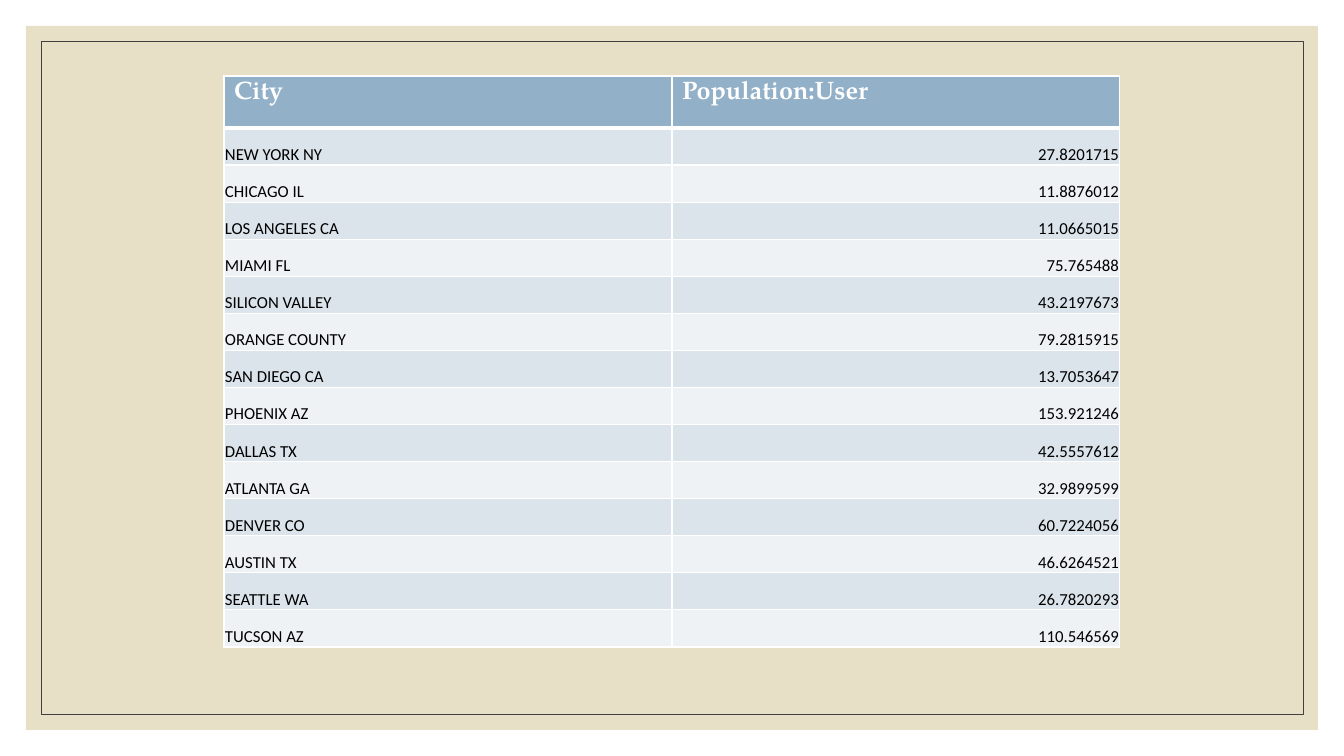
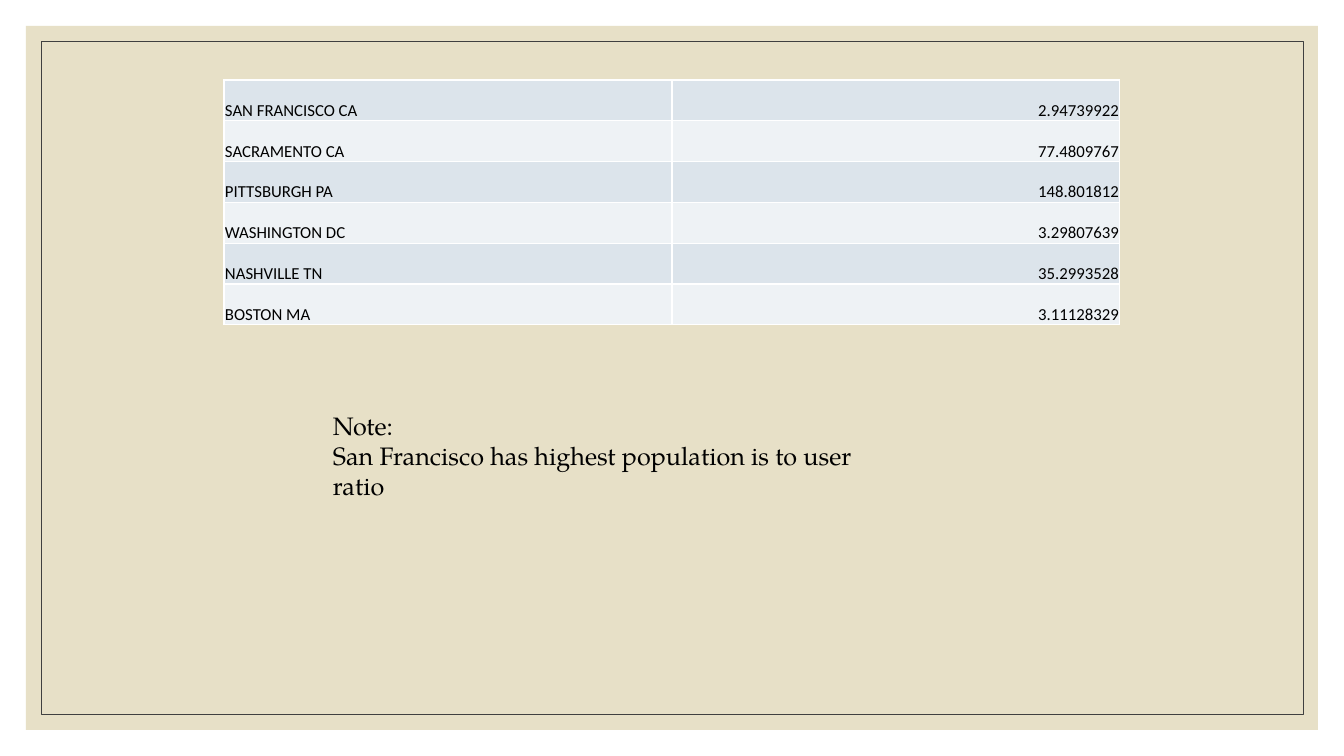
"""Build two slides of population per user by city."""
from lxml.etree import SubElement
from pptx import Presentation
from pptx.dml.color import RGBColor
from pptx.enum.shapes import MSO_SHAPE
from pptx.enum.text import MSO_ANCHOR, PP_ALIGN
from pptx.oxml.ns import qn
from pptx.util import Pt

HEADER = ("City", "Population:User")
FIRST_CITIES = [
    ("NEW YORK NY", "27.8201715"),
    ("CHICAGO IL", "11.8876012"),
    ("LOS ANGELES CA", "11.0665015"),
    ("MIAMI FL", "75.765488"),
    ("SILICON VALLEY", "43.2197673"),
    ("ORANGE COUNTY", "79.2815915"),
    ("SAN DIEGO CA", "13.7053647"),
    ("PHOENIX AZ", "153.921246"),
    ("DALLAS TX", "42.5557612"),
    ("ATLANTA GA", "32.9899599"),
    ("DENVER CO", "60.7224056"),
    ("AUSTIN TX", "46.6264521"),
    ("SEATTLE WA", "26.7820293"),
    ("TUCSON AZ", "110.546569"),
]
MORE_CITIES = [
    ("SAN FRANCISCO CA", "2.94739922"),
    ("SACRAMENTO CA", "77.4809767"),
    ("PITTSBURGH PA", "148.801812"),
    ("WASHINGTON DC", "3.29807639"),
    ("NASHVILLE TN", "35.2993528"),
    ("BOSTON MA", "3.11128329"),
]
NOTE = ["Note:", "San Francisco has highest population is to user ratio"]

SLIDE_SIZE = (1344, 756)
PANEL = (26, 26, 1292, 704)
FRAME = (41, 41, 1262, 673)
NOTE_BOX = (323, 405, 560, 72)
TABLE_LEFT, TABLE_WIDTH, HEADER_HEIGHT = 224, 896, 52

SAND, CHARCOAL, WHITE, BLACK = "E7E0C7", "404040", "FFFFFF", "000000"
HEADER_FILL, BANDS = "92B0C8", ("DCE4EB", "EEF2F5")
THIN, THICK = 1, 3

HEADER_FONT = {"name": "TeX Gyre Pagella", "size": Pt(18), "bold": True}
BODY_FONT = {"name": "Calibri", "size": Pt(12), "bold": False}
NOTE_FONT = {"name": "TeX Gyre Pagella", "size": Pt(18)}


def px(length):
    return round(length * 914400 / 100.8)


def color(value):
    return RGBColor.from_string(value)


def set_all(target, values):
    for name, value in values.items():
        setattr(target, name, value)


def write(para, text, font, ink):
    span = para.add_run()
    span.text = text
    set_all(span.font, font)
    span.font.color.rgb = color(ink)


def add_rectangle(page, place, fill=None, line=None):
    box = page.shapes.add_shape(MSO_SHAPE.RECTANGLE, *map(px, place))
    box.shadow.inherit = False
    if fill:
        box.fill.solid()
        box.fill.fore_color.rgb = color(fill)
    else:
        box.fill.background()
    if line:
        box.line.color.rgb = color(line)
        box.line.width = Pt(0.5)
    else:
        box.line.fill.background()


def add_page(deck):
    page = deck.slides.add_slide(deck.slide_layouts[6])
    add_rectangle(page, PANEL, fill=SAND)
    add_rectangle(page, FRAME, line=CHARCOAL)
    return page


def style_cell(cell, fill, top, bottom):
    properties = cell._tc.get_or_add_tcPr()
    for side, width in {"L": THIN, "R": THIN, "T": top, "B": bottom}.items():
        border = SubElement(properties, qn(f"a:ln{side}"), w=str(Pt(width)))
        paint = SubElement(border, qn("a:solidFill"))
        SubElement(paint, qn("a:srgbClr"), val=WHITE)
    cell.fill.solid()
    cell.fill.fore_color.rgb = color(fill)


def add_city_table(page, cities, top, height, header=None):
    rows = ([header] if header else []) + cities
    header_height = HEADER_HEIGHT if header else 0
    row_height = (height - header_height) / len(cities)
    place = (TABLE_LEFT, top, TABLE_WIDTH, height)
    table = page.shapes.add_table(len(rows), 2, *map(px, place)).table
    set_all(table, {"first_row": False, "horz_banding": False})
    for column in table.columns:
        column.width = px(TABLE_WIDTH / 2)
    for index, row in enumerate(rows):
        is_header = bool(header) and index == 0
        below_header = bool(header) and index == 1
        band = BANDS[(index - bool(header)) % 2]
        table.rows[index].height = px(header_height if is_header else row_height)
        for column, text in enumerate(row):
            cell = table.cell(index, column)
            para = cell.text_frame.paragraphs[0]
            if is_header:
                style_cell(cell, HEADER_FILL, THIN, THICK)
                write(para, text, HEADER_FONT, WHITE)
                continue
            style_cell(cell, band, THICK if below_header else THIN, THIN)
            set_all(cell, {"vertical_anchor": MSO_ANCHOR.BOTTOM,
                           "margin_left": px(1), "margin_right": px(1),
                           "margin_top": px(1), "margin_bottom": 0})
            para.alignment = (PP_ALIGN.LEFT, PP_ALIGN.RIGHT)[column]
            write(para, text, BODY_FONT, BLACK)


def add_note(page, lines):
    frame = page.shapes.add_textbox(*map(px, NOTE_BOX)).text_frame
    frame.word_wrap = True
    for index, line in enumerate(lines):
        para = frame.add_paragraph() if index else frame.paragraphs[0]
        write(para, line, NOTE_FONT, BLACK)


deck = Presentation()
deck.slide_width, deck.slide_height = map(px, SLIDE_SIZE)

add_city_table(add_page(deck), FIRST_CITIES, 76, 571, HEADER)

closing_page = add_page(deck)
add_city_table(closing_page, MORE_CITIES, 80, 245)
add_note(closing_page, NOTE)

deck.save("out.pptx")
